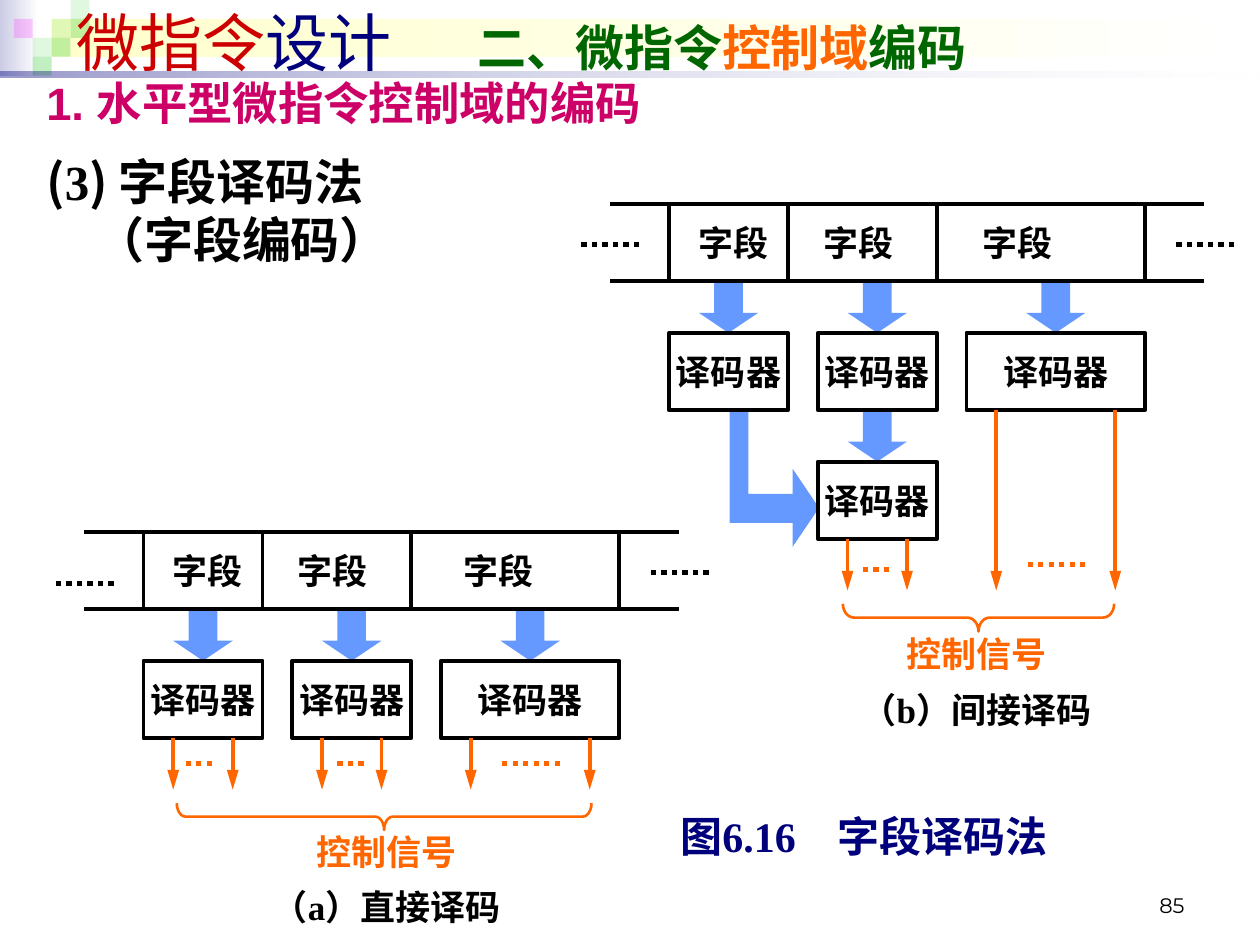
from lxml import etree
from pptx import Presentation
from pptx.dml.color import RGBColor
from pptx.enum.dml import MSO_LINE
from pptx.enum.shapes import MSO_CONNECTOR, MSO_SHAPE
from pptx.enum.text import MSO_ANCHOR, PP_ALIGN
from pptx.oxml.ns import qn
from pptx.util import Pt

BLACK, WHITE, ORANGE, BLUE, NAVY = "000000", "FFFFFF", "FF6600", "6699FF", "00007D"
GREEN = "33CC33"
SERIF, SANS, CJK = "Times New Roman", "Arial", "Noto Sans CJK SC"
UNIT = 17          # horizontal grid of the diagrams
BOX_HEIGHT = 44.2  # instruction row and decoders
GAP = 29.4         # arrow length between rows
DECODER_TOP = BOX_HEIGHT + GAP
OUTPUT_TOP = DECODER_TOP + BOX_HEIGHT


def color(hex_code):
    return RGBColor.from_string(hex_code)


class Sketch:
    def __init__(self, slide):
        self.slide = slide
        self.shapes = slide.shapes

    def style(self, shape, fill=None, line=None, weight=2.25):
        shape.shadow.inherit = False
        if fill:
            shape.fill.solid()
            shape.fill.fore_color.rgb = color(fill)
        else:
            shape.fill.background()
        if line:
            shape.line.color.rgb = color(line)
            shape.line.width = Pt(weight)
        else:
            shape.line.fill.background()

    def preset(self, kind, left, top, width, height, fill=None, line=None, weight=2.25):
        shape = self.shapes.add_shape(kind, Pt(left), Pt(top), Pt(width), Pt(height))
        self.style(shape, fill, line, weight)
        return shape

    def rect(self, *place, **look):
        return self.preset(MSO_SHAPE.RECTANGLE, *place, **look)

    def set_opacity(self, shape, percents):
        tints = list(shape._element.spPr.iter(qn("a:srgbClr")))
        for tint, percent in zip(tints, percents):
            etree.SubElement(tint, qn("a:alpha")).set("val", str(percent * 1000))

    def fade(self, *place, stops, opacity=()):
        band = self.rect(*place)
        band.fill.gradient()
        band.fill.gradient_angle = 180
        for stop, hex_code in zip(band.fill.gradient_stops, stops):
            stop.color.rgb = color(hex_code)
        self.set_opacity(band, opacity)

    def tile(self, left, top, hex_code, percent):
        self.set_opacity(self.rect(left, top, 10.8, 10.8, fill=hex_code), (percent,))

    def line(self, x1, y1, x2, y2, hex_code=BLACK, weight=2.25, arrow=False, dotted=False):
        line = self.shapes.add_connector(MSO_CONNECTOR.STRAIGHT, Pt(x1), Pt(y1), Pt(x2), Pt(y2))
        line.line.color.rgb = color(hex_code)
        line.line.width = Pt(weight)
        if dotted:
            line.line.dash_style = MSO_LINE.ROUND_DOT
        if arrow:
            head = etree.SubElement(line._element.spPr.find(qn("a:ln")), qn("a:tailEnd"))
            head.set("type", "triangle")
            head.set("len", "lg")
        etree.SubElement(line._element.spPr, qn("a:effectLst"))

    def down_arrow(self, center, top):
        arrow = self.preset(MSO_SHAPE.DOWN_ARROW, center - UNIT, top, 2 * UNIT, GAP, fill=BLUE)
        arrow.adjustments[0], arrow.adjustments[1] = 0.48, 0.39

    def brace(self, left, top, width, depth, curve):
        brace = self.preset(MSO_SHAPE.LEFT_BRACE, left + (width - depth) / 2,
                            top + (depth - width) / 2, depth, width, line=ORANGE, weight=1.5)
        brace.rotation = 270
        brace.adjustments[0] = curve

    def polygon(self, points, fill):
        builder = self.shapes.build_freeform(Pt(points[0][0]), Pt(points[0][1]), scale=1.0)
        builder.add_line_segments([(Pt(x), Pt(y)) for x, y in points[1:]], close=True)
        self.style(builder.convert_to_shape(), fill)

    def frame(self, shape, inset=(7.2, 3.6), anchor=MSO_ANCHOR.TOP, wrap=True):
        frame = shape.text_frame
        frame.word_wrap = wrap
        frame.vertical_anchor = anchor
        frame.margin_left = frame.margin_right = Pt(inset[0])
        frame.margin_top = frame.margin_bottom = Pt(inset[1])
        return frame

    def textbox(self, left, top, width, height, **layout):
        box = self.shapes.add_textbox(Pt(left), Pt(top), Pt(width), Pt(height))
        return self.frame(box, **layout)

    def set_text(self, paragraph, *parts, align=PP_ALIGN.LEFT, tabs=(), hanging=0):
        """Each part is (text, size, font, colour, bold)."""
        paragraph.alignment = align
        properties = paragraph._p.get_or_add_pPr()
        if hanging:
            properties.set("marL", str(Pt(hanging)))
            properties.set("indent", str(-Pt(hanging)))
        if tabs:
            stops = etree.SubElement(properties, qn("a:tabLst"))
            for position in tabs:
                etree.SubElement(stops, qn("a:tab"), pos=str(Pt(position)), algn="l")
        for words, size, font, hex_code, bold in parts:
            for number, row in enumerate(words.split("\n")):
                if number:
                    paragraph.add_line_break()
                run = paragraph.add_run()
                run.text = row
                run.font.size, run.font.name, run.font.bold = Pt(size), font, bold
                run.font.color.rgb = color(hex_code)
                etree.SubElement(run._r.rPr, qn("a:ea")).set("typeface", CJK)

    def decoder(self, left, top, width):
        box = self.rect(left, top, width, BOX_HEIGHT, fill=WHITE, line=BLACK)
        frame = self.frame(box, (0, 3.6), MSO_ANCHOR.MIDDLE)
        self.set_text(frame.paragraphs[0], ("译码器", 20, SERIF, BLACK, True), align=PP_ALIGN.CENTER)

    def instruction(self, x, y, last_tab, left_dots):
        """Instruction row with three fields, each feeding its decoder."""
        for center in (2, 7, 13):
            self.down_arrow(x + center * UNIT, y + BOX_HEIGHT)
        row = self.rect(x, y, 16 * UNIT, BOX_HEIGHT, fill=WHITE, line=BLACK)
        frame = self.frame(row, anchor=MSO_ANCHOR.MIDDLE)
        self.set_text(frame.paragraphs[0], ("\t字段\t字段\t字段", 20, SERIF, BLACK, True),
                      tabs=(9.5, 81, last_tab))
        for column in (4, 9):
            self.line(x + column * UNIT, y, x + column * UNIT, y + BOX_HEIGHT)
        for end in (0, 18):
            for edge in (y, y + BOX_HEIGHT):
                self.line(x + end * UNIT, edge, x + (end - 2) * UNIT, edge)
        for end, drop in ((-1, left_dots), (19, 23)):
            self.line(x + end * UNIT, y + drop, x + (end - 2) * UNIT, y + drop, weight=3, dotted=True)
        for column, width in ((0, 4), (5, 4), (10, 6)):
            self.decoder(x + column * UNIT, y + DECODER_TOP, width * UNIT)

    def outputs(self, x, top, bottom, columns, dots, dots_y):
        for column in columns:
            self.line(x + column * UNIT, top, x + column * UNIT, bottom, ORANGE, arrow=True)
        start, end = dots
        self.line(x + end * UNIT, dots_y, x + start * UNIT, dots_y, ORANGE, 3, dotted=True)

    def caption(self, left, top, label):
        frame = self.textbox(left, top, 140, 55.4, inset=(0, 0), wrap=False)
        self.set_text(frame.paragraphs[0], ("控制信号", 20, SERIF, ORANGE, True), align=PP_ALIGN.CENTER)
        name = frame.add_paragraph()
        name.space_before = Pt(7.7)
        self.set_text(name, (label, 20, SERIF, BLACK, True), align=PP_ALIGN.CENTER)


def main():
    deck = Presentation()
    deck.slide_width, deck.slide_height = Pt(720), Pt(540)
    sketch = Sketch(deck.slides.add_slide(deck.slide_layouts[6]))

    # Header decoration
    sketch.fade(0, 0, 22.3, 43.2, stops=(WHITE, "CCCCE6"))
    sketch.fade(29.5, 10.8, 687.6, 21.6, stops=(WHITE, "FFFFCC"))
    for column, row, hex_code, percent in (
            (2, 1, GREEN, 15), (3, 0, GREEN, 15), (3, 1, GREEN, 30), (1, 2, GREEN, 15),
            (0, 1, "FF00FF", 20), (2, 2, GREEN, 30), (1, 3, GREEN, 30)):
        sketch.tile(7.9 + column * 10.8, row * 10.8, hex_code, percent)
    sketch.fade(0, 41, 720, 3.6, stops=(WHITE, NAVY), opacity=(10, 40))

    # (a) direct decoding
    x, y = 82, 304
    sketch.instruction(x, y, 176, 29.5)
    for columns, dots in (((1, 3), (1.3, 2.3)), ((6, 8), (6.4, 7.4)), ((11, 15), (12, 14))):
        sketch.outputs(x, y + OUTPUT_TOP, y + OUTPUT_TOP + GAP, columns, dots, y + 132.5)
    sketch.brace(101, 459, 237, 15.3, 0.33)
    sketch.caption(151, 474.5, "（a）直接译码")

    # (b) indirect decoding
    x, y = 382.3, 116.6
    second_top = OUTPUT_TOP + GAP
    sketch.polygon([(427.7, 234), (427.7, 282.2), (452.9, 282.2), (452.9, 267.8), (468, 290.2),
                    (452.9, 312.5), (452.9, 298.8), (416.9, 298.8), (416.9, 234)], BLUE)
    sketch.down_arrow(x + 7 * UNIT, y + OUTPUT_TOP)
    sketch.instruction(x, y, 172, 23)
    sketch.decoder(x + 5 * UNIT, y + second_top, 4 * UNIT)
    signal_end = y + second_top + BOX_HEIGHT + GAP
    sketch.outputs(x, y + second_top + BOX_HEIGHT, signal_end, (6, 8), (6.4, 7.4), y + 209)
    sketch.outputs(x, y + OUTPUT_TOP, signal_end, (11, 15), (12, 14), y + 206)
    sketch.brace(481.7, 345, 155, 15.8, 0.4)
    sketch.caption(488, 361.5, "（b）间接译码")

    # Figure title
    figure = sketch.rect(388.8, 463, 209.5, 28.8, fill=WHITE)
    sketch.set_text(sketch.frame(figure, (0, 0), wrap=False).paragraphs[0],
                    ("图6.16\t字段译码法", 24, SERIF, NAVY, True), tabs=(90,))

    # Headings
    title = sketch.textbox(36.7, -2.2, 674.6, 51.1, anchor=MSO_ANCHOR.MIDDLE)
    sketch.set_text(title.paragraphs[0], ("微指令", 36, SANS, "CC0000", False),
                    ("设计\t", 36, SANS, NAVY, False), ("二、微指令", 28, SANS, "006600", True),
                    ("控制域", 28, SANS, ORANGE, True), ("编码", 28, SANS, "006600", True), tabs=(229,))
    section = sketch.textbox(19.4, 43.2, 681, 39.6).paragraphs[0]
    section.line_spacing = 0.9
    sketch.set_text(section, ("1. 水平型微指令控制域的编码", 25.9, SANS, "CC0066", True), hanging=27.4)
    method = sketch.textbox(19.4, 82.8, 692, 430.6).paragraphs[0]
    sketch.set_text(method, ("(", 28, CJK, BLACK, True), ("3", 28, SERIF, BLACK, True),
                    (") ", 28, CJK, BLACK, True), ("字段译码法\n（字段编码）", 28, SERIF, BLACK, True),
                    hanging=28)

    # Page number
    page = sketch.textbox(516.2, 491.8, 167.8, 36, anchor=MSO_ANCHOR.BOTTOM)
    sketch.set_text(page.paragraphs[0], ("85", 12, "Montserrat", BLACK, False), align=PP_ALIGN.RIGHT)

    deck.save("out.pptx")


if __name__ == "__main__":
    main()
